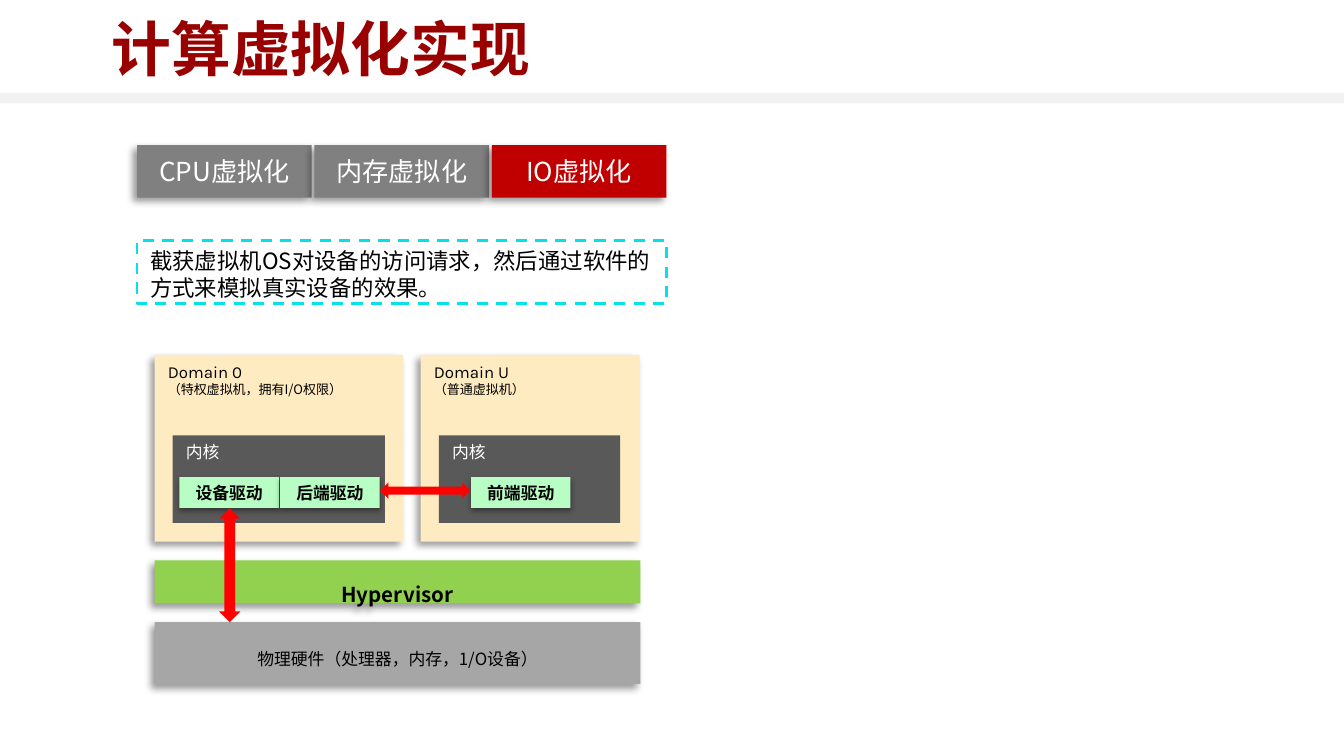
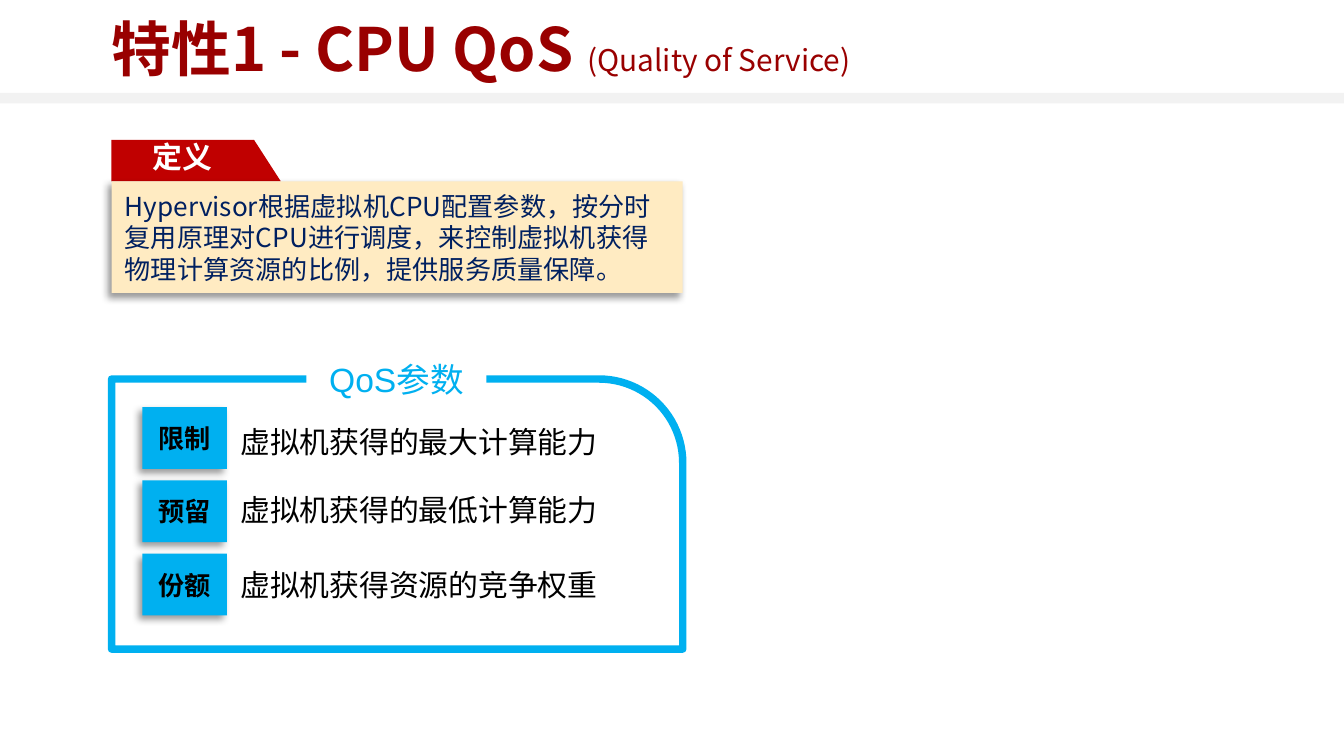
from dataclasses import dataclass

from lxml.etree import SubElement
from pptx import Presentation
from pptx.dml.color import RGBColor
from pptx.enum.dml import MSO_LINE
from pptx.enum.shapes import MSO_SHAPE
from pptx.enum.text import MSO_ANCHOR, PP_ALIGN
from pptx.oxml.ns import qn
from pptx.util import Inches, Pt

# Lengths are in grid cells: the slide is 100 columns by 56.25 rows.
COLUMNS, ROWS = 100, 56.25
CELL = Inches(10) / COLUMNS

DARK_RED, RED, ARROW_RED = "990000", "C00000", "FF0000"
BLACK, WHITE, NAVY = "000000", "FFFFFF", "002060"
BAND, GRAY, HARDWARE, KERNEL = "F2F2F2", "808080", "A6A6A6", "595959"
CREAM, GREEN, MINT = "FFEBC2", "92D050", "B8FEC4"
CYAN, BLUE = "05E0EB", "00B0F0"

CJK = "Noto Sans CJK SC"
PANEL_SHADOW = {"alpha": 40, "blur": 4, "distance": 3, "angle": 135}
DRIVER_SHADOW = {"alpha": 38, "blur": 3.1, "distance": 1.6, "angle": 90}
TITLE_MARGINS = {"margin_left": 0, "margin_top": Inches(0.04),
                 "margin_right": Inches(0.09), "margin_bottom": Inches(0.04)}
CENTRED = {"alignment": PP_ALIGN.CENTER}
DOUBLE_SPACED = {**CENTRED, "line_spacing": 2.0}


@dataclass
class Box:
    left: float
    top: float
    width: float
    height: float

    def inside(self, dx, dy, width, height):
        return Box(self.left + dx, self.top + dy, width, height)

    def emu(self):
        return [round(v * CELL) for v in (self.left, self.top, self.width, self.height)]


def rgb(color):
    return RGBColor.from_string(color)


def apply(target, values):
    for name, value in values.items():
        setattr(target, name, value)


def run(text, size, color=BLACK, bold=False, face=CJK):
    return {"text": text, "color": color,
            "font": {"size": Pt(size), "bold": bold, "name": face}}


def write(shape, paragraphs, anchor=MSO_ANCHOR.TOP, layout=None, margins=None):
    """Fill a shape with paragraphs, each a list of runs."""
    frame = shape.text_frame
    apply(frame, {"word_wrap": True, "vertical_anchor": anchor, **(margins or {})})
    for index, runs in enumerate(paragraphs):
        paragraph = frame.add_paragraph() if index else frame.paragraphs[0]
        apply(paragraph, {"alignment": PP_ALIGN.LEFT, **(layout or {})})
        for part in runs:
            piece = paragraph.add_run()
            piece.text = part["text"]
            apply(piece.font, part["font"])
            piece.font.color.rgb = rgb(part["color"])
            SubElement(piece.font._element, qn("a:ea"), typeface=CJK)


def cast_shadow(shape, alpha, blur, distance, angle):
    effects = shape._element.spPr.find(qn("a:effectLst"))
    outer = SubElement(effects, qn("a:outerShdw"), blurRad=str(Pt(blur)),
                       dist=str(Pt(distance)), dir=str(angle * 60000),
                       algn="ctr", rotWithShape="0")
    color = SubElement(outer, qn("a:srgbClr"), val=BLACK)
    SubElement(color, qn("a:alpha"), val=str(alpha * 1000))


def draw(slide, box, fill=None, kind=MSO_SHAPE.RECTANGLE, shadow=None, outline=None):
    shape = slide.shapes.add_shape(kind, *box.emu())
    shape.shadow.inherit = False
    if fill:
        shape.fill.solid()
        shape.fill.fore_color.rgb = rgb(fill)
    else:
        shape.fill.background()
    if outline:
        color, width, dash = outline
        shape.line.color.rgb = rgb(color)
        apply(shape.line, {"width": Pt(width), "dash_style": dash})
    else:
        shape.line.fill.background()
    if shadow:
        cast_shadow(shape, **shadow)
    return shape


def label(slide, box, fill, text, shadow=None, layout=CENTRED, anchor=MSO_ANCHOR.MIDDLE):
    """Filled rectangle holding one run."""
    write(draw(slide, box, fill, shadow=shadow), [[text]], anchor, layout)


def start_slide(deck, title):
    slide = deck.slides.add_slide(deck.slide_layouts[6])
    draw(slide, Box(0, 6.9, COLUMNS, 0.8), BAND)
    heading = slide.shapes.add_textbox(*Box(8.3, 0, 83.5, 7.1).emu())
    write(heading, [title], MSO_ANCHOR.MIDDLE, margins=TITLE_MARGINS)
    return slide


def tabs(slide, area, names, active):
    gap = 0.2
    width = (area.width - gap * (len(names) - 1)) / len(names)
    for index, name in enumerate(names):
        label(slide, area.inside(index * (width + gap), 0, width, area.height),
              RED if name == active else GRAY, run(name, 14, WHITE), PANEL_SHADOW)


def domain(slide, area, name, note, kernel_width, drivers):
    """Virtual machine with its kernel; drivers map a name to its offset."""
    panel = draw(slide, area, CREAM, shadow=PANEL_SHADOW)
    write(panel, [[run(name, 9, face="Karla")], [run(note, 7)]])
    kernel = area.inside(1.35, 6, kernel_width, 6.5)
    label(slide, kernel, KERNEL, run("内核", 9, WHITE),
          layout=None, anchor=MSO_ANCHOR.TOP)
    for driver, offset in drivers.items():
        label(slide, kernel.inside(offset, 3.1, 7.4, 2.3), MINT,
              run(driver, 9, bold=True), DRIVER_SHADOW)


def io_architecture(slide, area):
    domain(slide, area.inside(0, 0, 18.5, 13.9), "Domain 0",
           "（特权虚拟机，拥有I/O权限）", 15.8, {"设备驱动": 0.5, "后端驱动": 8})
    domain(slide, area.inside(19.8, 0, 16.3, 13.9), "Domain U",
           "（普通虚拟机）", 13.5, {"前端驱动": 2.4})
    label(slide, area.inside(0, 19.9, area.width, 4.6), HARDWARE,
          run("物理硬件（处理器，内存，1/O设备）", 9), PANEL_SHADOW,
          DOUBLE_SPACED, MSO_ANCHOR.TOP)
    label(slide, area.inside(0, 15.3, area.width, 3.2), GREEN,
          run("Hypervisor", 11, bold=True), PANEL_SHADOW, DOUBLE_SPACED)
    draw(slide, area.inside(16.8, 9.5, 6.7, 1.2), ARROW_RED, MSO_SHAPE.LEFT_RIGHT_ARROW)
    draw(slide, area.inside(4.8, 11.4, 1.6, 8.5), ARROW_RED, MSO_SHAPE.UP_DOWN_ARROW)


def definition(slide, area, tab_height=3.1):
    label(slide, area.inside(0, 0, 10.6, tab_height), RED,
          run("定义", 16, WHITE, True, "Arial"), anchor=MSO_ANCHOR.BOTTOM)
    draw(slide, area.inside(10.6, 0, 2, tab_height), RED, MSO_SHAPE.RIGHT_TRIANGLE)
    body = area.inside(0, tab_height, area.width, area.height - tab_height)
    label(slide, body, CREAM, run(
        "Hypervisor根据虚拟机CPU配置参数，按分时复用原理对CPU进行调度，"
        "来控制虚拟机获得物理计算资源的比例，提供服务质量保障。", 14, NAVY),
        PANEL_SHADOW, layout=None)


def qos_parameters(slide, area, parameters):
    """Framed list; each parameter is a name, a meaning and the meaning's row."""
    frame = draw(slide, area, kind=MSO_SHAPE.ROUND_1_RECTANGLE,
                 outline=(BLUE, 4, MSO_LINE.SOLID))
    frame.adjustments[0] = 0.31
    for index, (name, meaning, row) in enumerate(parameters):
        label(slide, area.inside(2.3, 2.1 + 5.45 * index, 6.3, 4.6), BLUE,
              run(name, 14, bold=True), PANEL_SHADOW)
        text = slide.shapes.add_textbox(*area.inside(8.6, row, 40.9, 3.7).emu())
        write(text, [[run(meaning, 16, face="Calibri")]])
    label(slide, area.inside(14.5, -2.4, 13.4, 4.8), WHITE,
          run("QoS参数", 18, BLUE, face="Arial"))


def io_slide(deck):
    slide = start_slide(deck, [run("计算虚拟化实现", 32, DARK_RED, True)])
    io_architecture(slide, Box(11.5, 26.4, 36.15, 24.5))
    tabs(slide, Box(10.2, 10.8, 39.4, 3.9), ["CPU虚拟化", "内存虚拟化", "IO虚拟化"], "IO虚拟化")
    summary = draw(slide, Box(10.2, 17.9, 39.4, 4.7), outline=(CYAN, 1.5, MSO_LINE.DASH))
    write(summary, [[run(
        "截获虚拟机OS对设备的访问请求，然后通过软件的方式来模拟真实设备的效果。", 12)]])


def qos_slide(deck):
    slide = start_slide(deck, [run("特性1 - CPU QoS ", 32, DARK_RED, True),
                               run("(Quality of Service)", 16, DARK_RED)])
    definition(slide, Box(8.3, 10.4, 42.5, 11.4))
    qos_parameters(slide, Box(8.3, 28.2, 42.5, 20.1), [
        ("限制", "虚拟机获得的最大计算能力", 2.8),
        ("预留", "虚拟机获得的最低计算能力", 7.9),
        ("份额", "虚拟机获得资源的竞争权重", 13.5),
    ])


def main():
    deck = Presentation()
    apply(deck, {"slide_width": round(COLUMNS * CELL), "slide_height": round(ROWS * CELL)})
    io_slide(deck)
    qos_slide(deck)
    deck.save("out.pptx")


if __name__ == "__main__":
    main()
